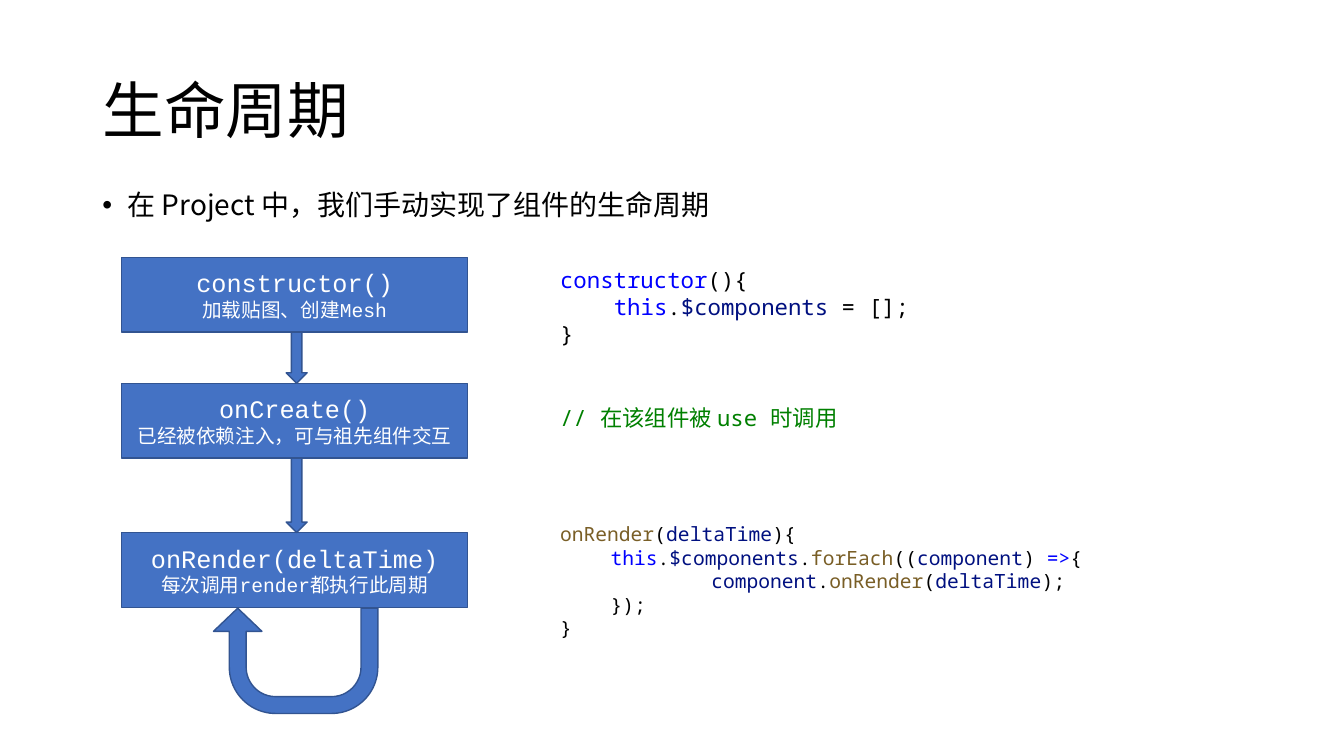
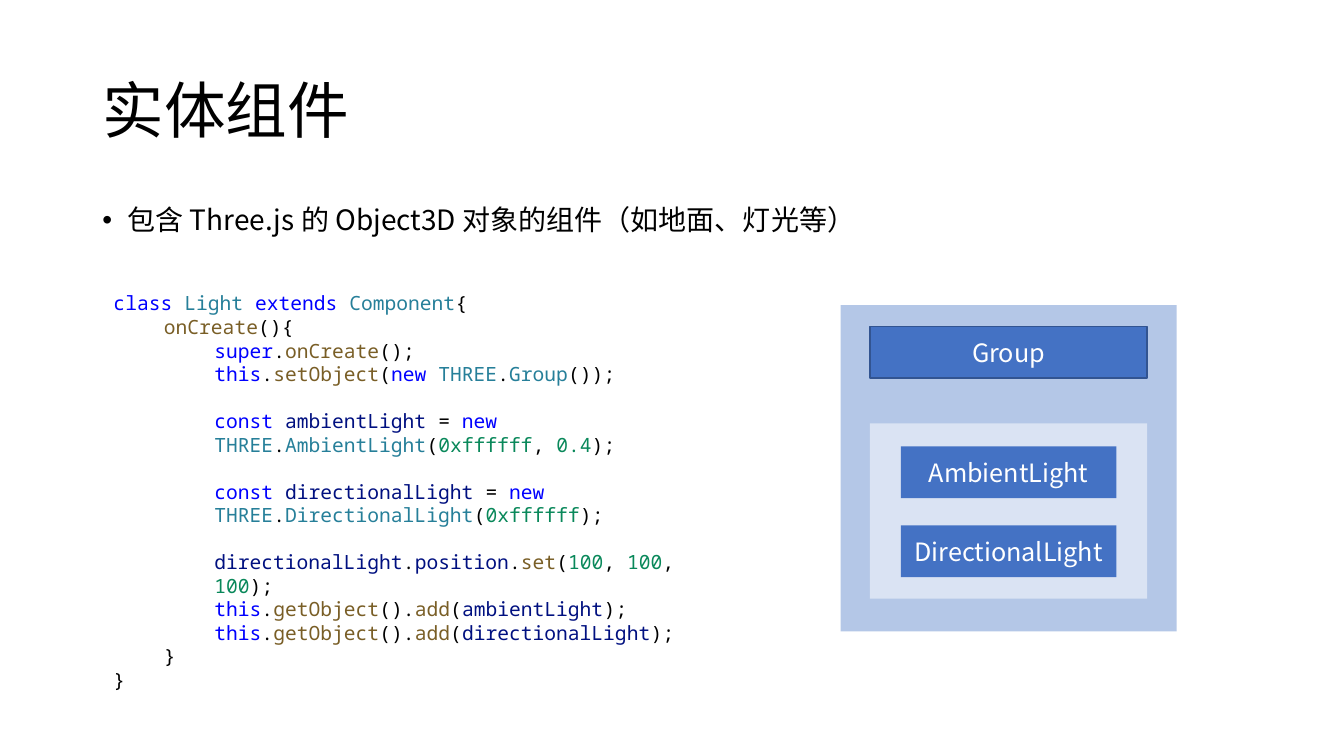
from collections import namedtuple
from dataclasses import dataclass, field

from lxml import etree
from pptx import Presentation
from pptx import util as u
from pptx.dml.color import RGBColor
from pptx.enum import shapes, text
from pptx.oxml import ns

Box = namedtuple("Box", "left top width height")


@dataclass(frozen=True)
class Theme:
    """Colours, fonts and type sizes of the deck."""
    ink: str = "000000"
    white: str = "FFFFFF"
    fill: str = "4472C4"
    edge: str = "325491"
    panel: str = "B4C7E7"
    inner_panel: str = "DAE3F3"
    sans: str = "Noto Sans CJK SC"
    mono: str = "Noto Sans Mono"
    courier: str = "Courier New"
    title: int = 44
    bullet: int = 20
    label: int = 18
    detail: int = 14
    code: int = 14
    code_large: int = 16
    # k keyword, t type, f function, v variable, n number, c comment, p punctuation
    syntax: dict = field(default_factory=lambda: {
        "k": "0000FF", "t": "267F99", "f": "795E26", "v": "001080",
        "n": "09885A", "c": "008000", "p": "000000"})


THEME = Theme()
TITLE = Box(66, 28.8, 828, 104.4)
CODE_LINE = 1.2
INDENT = 36

# Each code line is (indent in points, blank lines before, tokens "kind:text|...").
CONSTRUCTOR_CODE = [
    (0, 0, "k:constructor|p:(){"),
    (38.4, 0, "k:this|p:.|v:$components|p: = [];"),
    (0, 0, "p:}"),
]
CREATE_CODE = [(0, 0, "c:// 在该组件被 use 时调用")]
RENDER_CODE = [
    (0, 0, "f:onRender|p:(|v:deltaTime|p:){"),
    (INDENT, 0, "k:this|p:.|v:$components|p:.|f:forEach|p:((|v:component|p:) |k:=>|p:{"),
    (3 * INDENT, 0, "v:component|p:.|f:onRender|p:(|v:deltaTime|p:);"),
    (INDENT, 0, "p:});"),
    (0, 0, "p:}"),
]
LIGHT_CODE = [
    (0, 0, "k:class |t:Light |k:extends |t:Component|p:{"),
    (INDENT, 0, "f:onCreate|p:(){"),
    (2 * INDENT, 0, "k:super|p:.|f:onCreate|p:();"),
    (2 * INDENT, 0, "k:this|p:.|f:setObject|p:(|k:new |t:THREE|p:.|t:Group|p:());"),
    (2 * INDENT, 1, "k:const |v:ambientLight|p: = |k:new |t:THREE|p:.|t:AmbientLight"
                    "|p:(|n:0xffffff|p:, |n:0.4|p:);"),
    (2 * INDENT, 1, "k:const |v:directionalLight|p: = |k:new |t:THREE|p:.|t:DirectionalLight"
                    "|p:(|n:0xffffff|p:);"),
    (2 * INDENT, 1, "v:directionalLight|p:.|v:position|p:.|f:set"
                    "|p:(|n:100|p:, |n:100|p:, |n:100|p:);"),
    (2 * INDENT, 0, "k:this|p:.|f:getObject|p:().|f:add|p:(|v:ambientLight|p:);"),
    (2 * INDENT, 0, "k:this|p:.|f:getObject|p:().|f:add|p:(|v:directionalLight|p:);"),
    (INDENT, 0, "p:}"),
    (0, 0, "p:}"),
]


def points(box):
    """Turn a box into four lengths."""
    return [u.Pt(length) for length in box]


def add_run(paragraph, wording, size, font, color):
    """Append one formatted run, with the sans font for Chinese characters."""
    run = paragraph.add_run()
    run.text = wording
    run.font.size = u.Pt(size)
    run.font.name = font
    run.font.color.rgb = RGBColor.from_string(color)
    east_asian = etree.Element(ns.qn("a:ea"), typeface=THEME.sans)
    run.font._element.find(ns.qn("a:latin")).addnext(east_asian)


def add_paragraph(frame, position):
    """Return the first paragraph of a frame, or a new one after it."""
    return frame.add_paragraph() if position else frame.paragraphs[0]


def add_text_frame(slide, box):
    """Add a wrapping text box and return its frame."""
    frame = slide.shapes.add_textbox(*points(box)).text_frame
    frame.word_wrap = True
    return frame


def add_block(slide, box, kind=shapes.MSO_SHAPE.RECTANGLE, fill=THEME.fill, edge=None):
    """Add a flat filled shape with an optional outline."""
    block = slide.shapes.add_shape(kind, *points(box))
    block.shadow.inherit = False
    block.fill.solid()
    block.fill.fore_color.rgb = RGBColor.from_string(fill)
    if edge:
        block.line.color.rgb = RGBColor.from_string(edge)
        block.line.width = u.Pt(1)
    else:
        block.line.fill.background()
    return block


def add_labels(block, lines):
    """Centre lines of (wording, size, font) in a block."""
    frame = block.text_frame
    frame.word_wrap = True
    frame.vertical_anchor = text.MSO_ANCHOR.MIDDLE
    for position, (wording, size, font) in enumerate(lines):
        paragraph = add_paragraph(frame, position)
        paragraph.alignment = text.PP_ALIGN.CENTER
        add_run(paragraph, wording, size, font, THEME.white)


def add_topic_slide(deck, heading, summary, summary_top):
    """Add a slide with a title and one bulleted summary line."""
    slide = deck.slides.add_slide(deck.slide_layouts[5])
    title = slide.shapes.title
    title.left, title.top, title.width, title.height = points(TITLE)
    title.text_frame.auto_size = text.MSO_AUTO_SIZE.NONE
    title.text_frame.vertical_anchor = text.MSO_ANCHOR.MIDDLE
    line = title.text_frame.paragraphs[0]
    line.alignment = text.PP_ALIGN.LEFT
    line.line_spacing = 0.9
    add_run(line, heading, THEME.title, THEME.sans, THEME.ink)

    point = add_text_frame(slide, Box(TITLE.left, summary_top, TITLE.width, 33)).paragraphs[0]
    point.line_spacing = 0.9
    point.space_before = u.Pt(10)
    properties = point._p.get_or_add_pPr()
    properties.set("marL", str(u.Pt(18)))
    properties.set("indent", str(u.Pt(-18)))
    etree.SubElement(properties, ns.qn("a:buFont"), typeface="Arial")
    etree.SubElement(properties, ns.qn("a:buChar"), char="•")
    add_run(point, summary, THEME.bullet, THEME.sans, THEME.ink)
    return slide


def add_code(slide, box, lines, size=THEME.code):
    """Add highlighted code, one paragraph per line."""
    frame = add_text_frame(slide, box)
    for position, (indent, blanks, tokens) in enumerate(lines):
        paragraph = add_paragraph(frame, position)
        paragraph._p.get_or_add_pPr().set("marL", str(u.Pt(indent)))
        if blanks:
            paragraph.space_before = u.Pt(blanks * size * CODE_LINE)
        for token in tokens.split("|"):
            kind, wording = token.split(":", 1)
            add_run(paragraph, wording, size, THEME.mono, THEME.syntax[kind])


def add_lifecycle(slide, box):
    """Stack the lifecycle stages, join them by arrows and loop the last one."""
    stage_height, arrow_width = 53.4, 15
    stages = [
        (0, "constructor()", "加载贴图、创建Mesh"),
        (90, "onCreate()", "已经被依赖注入，可与祖先组件交互"),
        (196.6, "onRender(deltaTime)", "每次调用render都执行此周期"),
    ]
    for offset, method, purpose in stages:
        stage = add_block(slide, Box(box.left, box.top + offset, box.width, stage_height),
                          edge=THEME.edge)
        add_labels(stage, [(method, THEME.label, THEME.courier),
                           (purpose, THEME.detail, THEME.courier)])
    for (above, *_), (below, *_) in zip(stages, stages[1:]):
        start = above + stage_height
        add_block(slide, Box(box.left + 117.4, box.top + start, arrow_width, below - start),
                  shapes.MSO_SHAPE.DOWN_ARROW, edge=THEME.edge)
    loop_top = stages[-1][0] + stage_height + 0.6
    loop = add_block(slide, Box(box.left + 65.5, box.top + loop_top, 117.4,
                                box.height - loop_top),
                     shapes.MSO_SHAPE.U_TURN_ARROW, edge=THEME.edge)
    loop.rotation = 180
    for position, ratio in enumerate((0.16, 0.23, 0.22, 0.44, 1)):
        loop.adjustments[position] = ratio


def add_light_group(slide, box):
    """Draw the group panel holding its header and the nested lights."""
    margin, label_height = 21, 37
    add_block(slide, box, fill=THEME.panel)
    header = Box(box.left + margin, box.top + 15, box.width - 2 * margin, label_height)
    nest = Box(header.left, box.top + 84.4, header.width, 125.2)
    add_block(slide, nest, fill=THEME.inner_panel)
    parts = [("Group", header, THEME.edge)]
    for row, light in enumerate(("AmbientLight", "DirectionalLight")):
        parts.append((light, Box(nest.left + 22, nest.top + 16.4 + row * 56.4,
                                 nest.width - 44, label_height), None))
    for name, place, edge in parts:
        add_labels(add_block(slide, place, edge=edge), [(name, THEME.label, THEME.sans)])


def build_lifecycle_slide(deck):
    """Build the slide on the component lifecycle."""
    slide = add_topic_slide(deck, "生命周期", "在 Project 中，我们手动实现了组件的生命周期", 133.2)
    add_lifecycle(slide, Box(87, 183.8, 247, 325.8))
    code_left = 393
    add_code(slide, Box(code_left, 186.4, 480, 67.6), CONSTRUCTOR_CODE, THEME.code_large)
    add_code(slide, Box(code_left, 285, 214.6, 46), CREATE_CODE, THEME.code_large)
    add_code(slide, Box(code_left, 369.4, 480, 92), RENDER_CODE)


def build_entity_slide(deck):
    """Build the slide on entity components."""
    slide = add_topic_slide(deck, "实体组件",
                            "包含 Three.js 的 Object3D 对象的组件（如地面、灯光等）", 144)
    add_code(slide, Box(74, 204.6, 435, 278.6), LIGHT_CODE)
    add_light_group(slide, Box(600.4, 218, 240, 233))


def main():
    """Build and save the deck."""
    deck = Presentation()
    deck.slide_width, deck.slide_height = u.Pt(960), u.Pt(540)
    build_lifecycle_slide(deck)
    build_entity_slide(deck)
    deck.save("out.pptx")


main()
